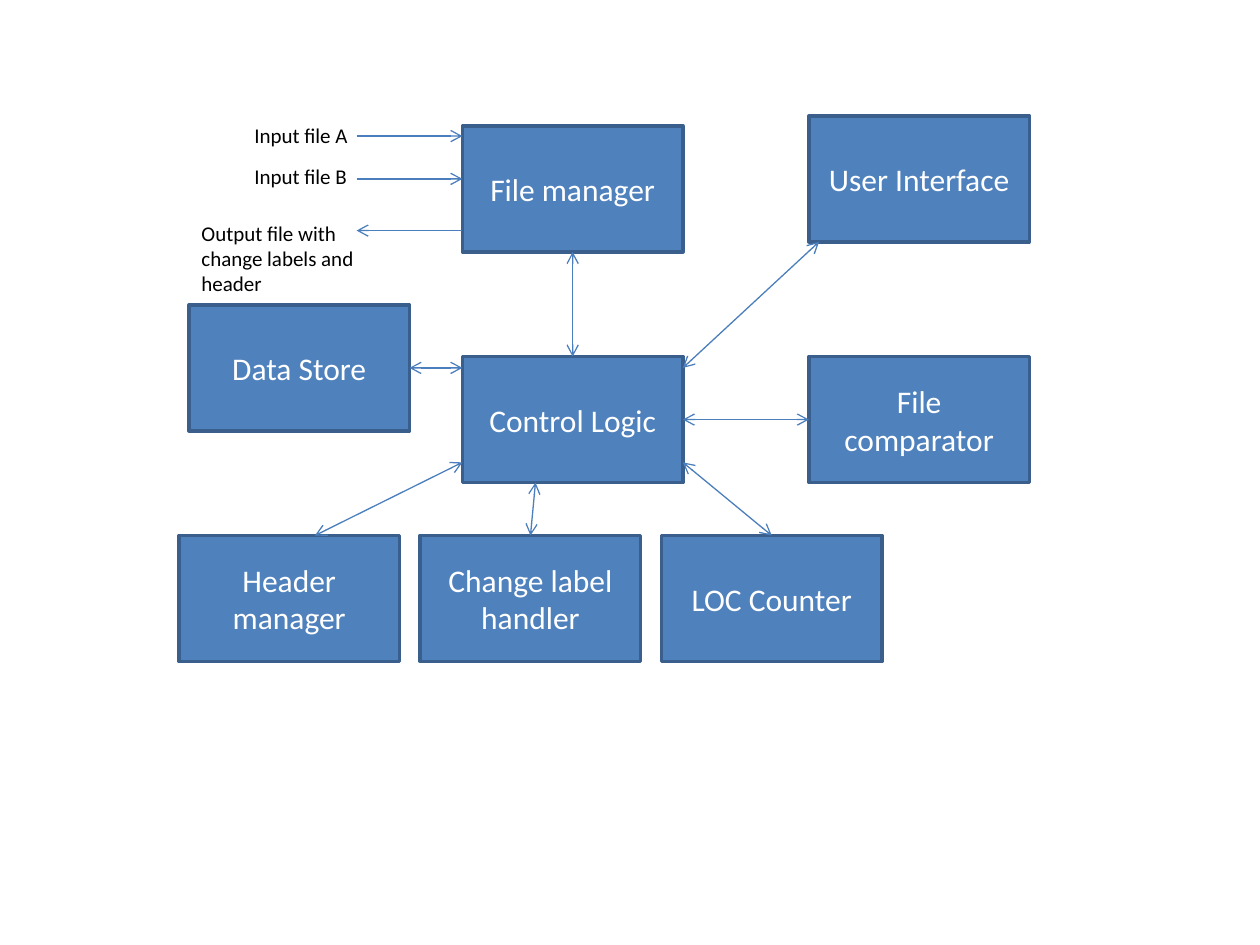
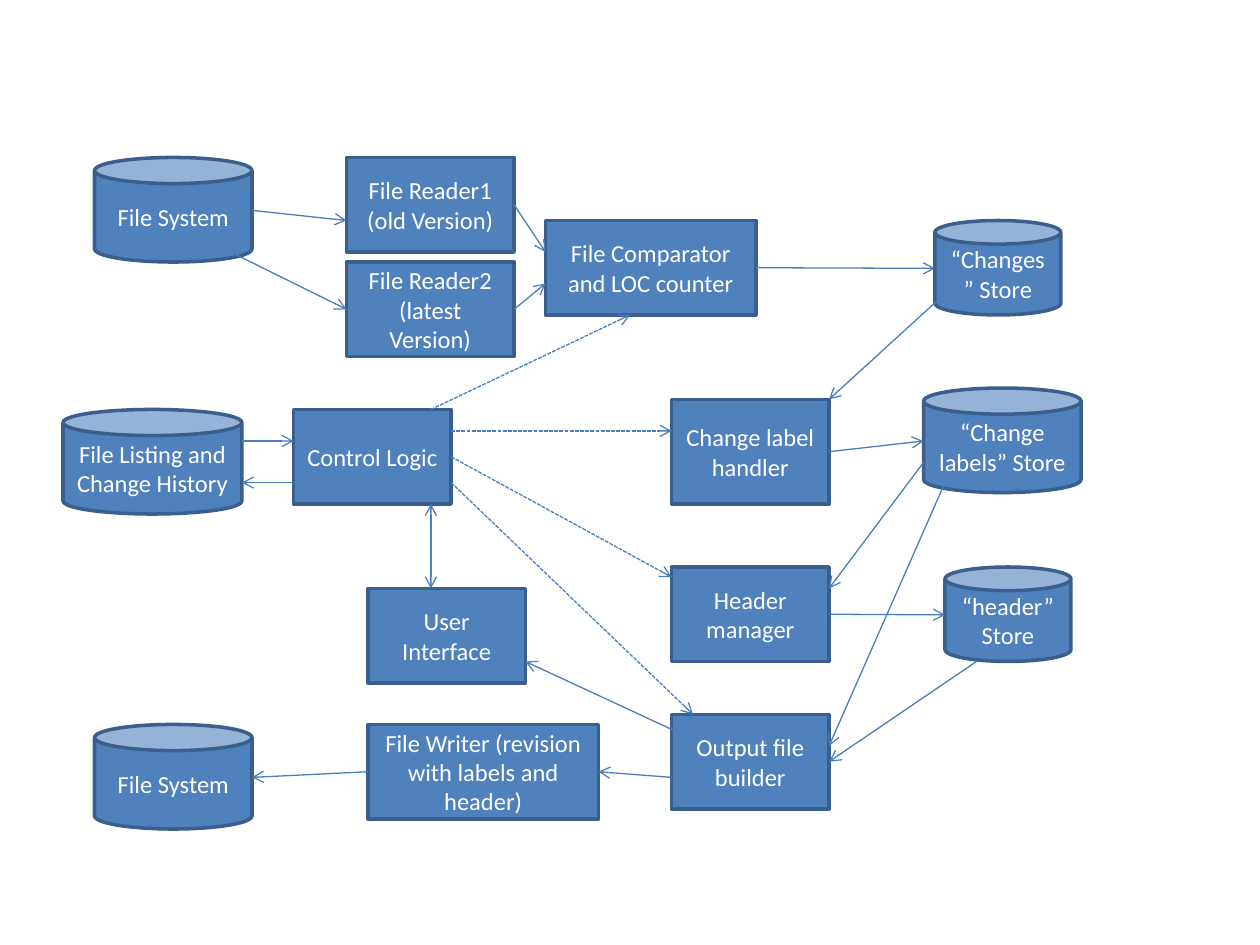
from lxml import etree
from pptx import Presentation
from pptx.dml.color import RGBColor
from pptx.enum import dml, shapes, text
from pptx.oxml import ns
from pptx.util import Inches, Pt

FILL = RGBColor(0x4F, 0x81, 0xBD)
EDGE = RGBColor(0x3A, 0x5F, 0x8C)
ARROW = RGBColor(0x4B, 0x7E, 0xBC)
WHITE = RGBColor(0xFF, 0xFF, 0xFF)
BLACK = RGBColor(0, 0, 0)
FONT = "Calibri"
RECT, CAN = shapes.MSO_SHAPE.RECTANGLE, shapes.MSO_SHAPE.CAN
TOP, LEFT, BOTTOM, RIGHT = range(4)


def write(sp, words, size, color, align):
    """Fill a shape with one wrapped paragraph."""
    tf = sp.text_frame
    tf.word_wrap = True
    p = tf.paragraphs[0]
    p.text = words
    p.alignment = align
    p.font.name, p.font.size = FONT, Pt(size)
    p.font.color.rgb = color


def add_node(s, kind, box, words, size):
    """Add a filled, outlined block with centred text."""
    sp = s.shapes.add_shape(kind, *map(Inches, box))
    sp.shadow.inherit = False
    sp.fill.solid()
    sp.fill.fore_color.rgb = FILL
    sp.line.color.rgb = EDGE
    sp.line.width = Pt(2)
    sp.text_frame.vertical_anchor = text.MSO_ANCHOR.MIDDLE
    write(sp, words, size, WHITE, text.PP_ALIGN.CENTER)
    return sp


def add_label(s, box, words):
    """Add a small black caption."""
    sp = s.shapes.add_textbox(*map(Inches, box))
    write(sp, words, 12, BLACK, text.PP_ALIGN.LEFT)
    return sp


def end_point(nodes, end):
    """Locate an end given as (node, side) or (node, dx, dy)."""
    sp = nodes[end[0]]
    if len(end) == 2:
        return sp.left, sp.top
    return sp.left + Inches(end[1]), sp.top + Inches(end[2])


def link(s, nodes, start, end, both=False, dashed=False):
    """Draw an arrow between nodes, joined where an end names a side."""
    cx = s.shapes.add_connector(shapes.MSO_CONNECTOR.STRAIGHT,
                                *end_point(nodes, start), *end_point(nodes, end))
    if len(start) == 2:
        cx.begin_connect(nodes[start[0]], start[1])
    if len(end) == 2:
        cx.end_connect(nodes[end[0]], end[1])
    cx.line.color.rgb = ARROW
    cx.line.width = Pt(0.75)
    if dashed:
        cx.line.dash_style = dml.MSO_LINE.SQUARE_DOT
        cx.line._ln.find(ns.qn("a:prstDash")).set("val", "sysDash")
    for tag in ("a:headEnd", "a:tailEnd")[0 if both else 1:]:
        etree.SubElement(cx.line._ln, ns.qn(tag), type="arrow")
    etree.SubElement(cx._element.spPr, ns.qn("a:effectLst"))


def draw_modules(s, x, y):
    """Draw the module overview with its top left corner at x, y."""
    places = {
        "Control Logic": (2.25, 1.91), "File comparator": (5, 1.91),
        "User Interface": (5, 0), "File manager": (2.25, 0.08),
        "Data Store": (0.08, 1.5),
    }
    for i, name in enumerate(("Header manager", "Change label handler", "LOC Counter")):
        places[name] = (1.915 * i, 3.33)
    nodes = {name: add_node(s, RECT, (x + dx, y + dy, 1.75, 1), name, 18)
             for name, (dx, dy) in places.items()}
    for name, dx, dy, w, h in (
            ("Input file A", 0.5, 0, 1, 0.3),
            ("Input file B", 0.5, 0.33, 1, 0.3),
            ("Output file with change labels and header", 0.08, 0.78, 1.42, 0.71)):
        nodes[name] = add_label(s, (x + dx, y + dy, w, h), name)

    link(s, nodes, ("Input file A", 0.91, 0.16), ("File manager", 0, 0.08))
    link(s, nodes, ("Input file B", 0.91, 0.17), ("File manager", 0, 0.42))
    link(s, nodes, ("File manager", 0, 0.83),
         ("Output file with change labels and header", 1.33, 0.13))
    for start, end in (
            (("Control Logic", 1.75, 0.09), ("User Interface", 0.08, 1)),
            (("Control Logic", TOP), ("File manager", BOTTOM)),
            (("Control Logic", RIGHT), ("File comparator", LEFT)),
            (("Data Store", RIGHT), ("Control Logic", 0, 0.09)),
            (("Header manager", 1.08, 0), ("Control Logic", 0, 0.84)),
            (("Change label handler", TOP), ("Control Logic", 0.58, 1)),
            (("LOC Counter", TOP), ("Control Logic", 1.75, 0.84))):
        link(s, nodes, start, end, both=True)


def draw_data_flow(s, x, y):
    """Draw the data flow with its top left corner at x, y."""
    layout = (
        ("reader1", RECT, 2.25, 0, 1.33, 0.75, "File Reader1 (old Version)"),
        ("reader2", RECT, 2.25, 0.83, 1.33, 0.75, "File Reader2 (latest Version)"),
        ("comparator", RECT, 3.83, 0.5, 1.67, 0.75, "File Comparator and LOC counter"),
        ("control", RECT, 1.83, 2, 1.25, 0.75, "Control Logic"),
        ("handler", RECT, 4.83, 1.92, 1.25, 0.83, "Change label handler"),
        ("header", RECT, 4.83, 3.25, 1.25, 0.75, "Header manager"),
        ("builder", RECT, 4.83, 4.42, 1.25, 0.75, "Output file builder"),
        ("ui", RECT, 2.42, 3.42, 1.25, 0.75, "User Interface"),
        ("writer", RECT, 2.42, 4.5, 1.83, 0.75, "File Writer (revision with labels and header)"),
        ("source", CAN, 0.25, 0, 1.25, 0.83, "File System"),
        ("target", CAN, 0.25, 4.5, 1.25, 0.83, "File System"),
        ("history", CAN, 0, 2, 1.42, 0.83, "File Listing and Change History"),
        ("changes", CAN, 6.92, 0.5, 1, 0.75, "“Changes” Store"),
        ("labels", CAN, 6.83, 1.83, 1.25, 0.83, "“Change labels” Store"),
        ("headers", CAN, 7, 3.25, 1, 0.75, "“header” Store"),
    )
    nodes = {key: add_node(s, kind, (x + dx, y + dy, w, h), words, 14)
             for key, kind, dx, dy, w, h, words in layout}

    for start, end in (
            (("source", 1.25, 0.42), ("reader1", 0, 0.5)),
            (("source", 1.08, 0.75), ("reader2", LEFT)),
            (("reader1", RIGHT), ("comparator", 0, 0.25)),
            (("reader2", RIGHT), ("comparator", 0, 0.5)),
            (("comparator", RIGHT), ("changes", 1 - 1, 0.38)),
            (("changes", 0.08, 0.58), ("handler", 1.25, 0)),
            (("handler", RIGHT), ("labels", 0, 0.42)),
            (("labels", 0, 0.59), ("header", 1.25, 0.17)),
            (("labels", 0.17, 0.75), ("builder", 1.25, 0.25)),
            (("header", RIGHT), ("headers", 0, 0.38)),
            (("headers", 0.25, 0.75), ("builder", RIGHT)),
            (("builder", 0.09, 0.16), ("ui", 1.25, 0.58)),
            (("builder", 0, 0.5), ("writer", RIGHT)),
            (("writer", LEFT), ("target", 1.25, 0.42)),
            (("history", 1.42, 0.25), ("control", 0, 0.25)),
            (("control", 0, 0.58), ("history", 1.42, 0.58))):
        link(s, nodes, start, end)
    for start, end in (
            (("control", 1.09, 0), ("comparator", 0.67, 0.75)),
            (("control", 1.25, 0.17), ("handler", 0, 0.25)),
            (("control", RIGHT), ("header", 0, 0.08)),
            (("control", 1.25, 0.58), ("builder", 0.17, 0))):
        link(s, nodes, start, end, dashed=True)
    link(s, nodes, ("control", 1.09, 0.75), ("ui", 0.5, 0), both=True)


def main():
    """Build both diagrams and save them."""
    prs = Presentation()
    prs.slide_width, prs.slide_height = Inches(10), Inches(7.5)
    for draw, x, y in ((draw_modules, 1.42, 0.92), (draw_data_flow, 0.5, 1.25)):
        draw(prs.slides.add_slide(prs.slide_layouts[6]), x, y)
    prs.save("out.pptx")


if __name__ == "__main__":
    main()
